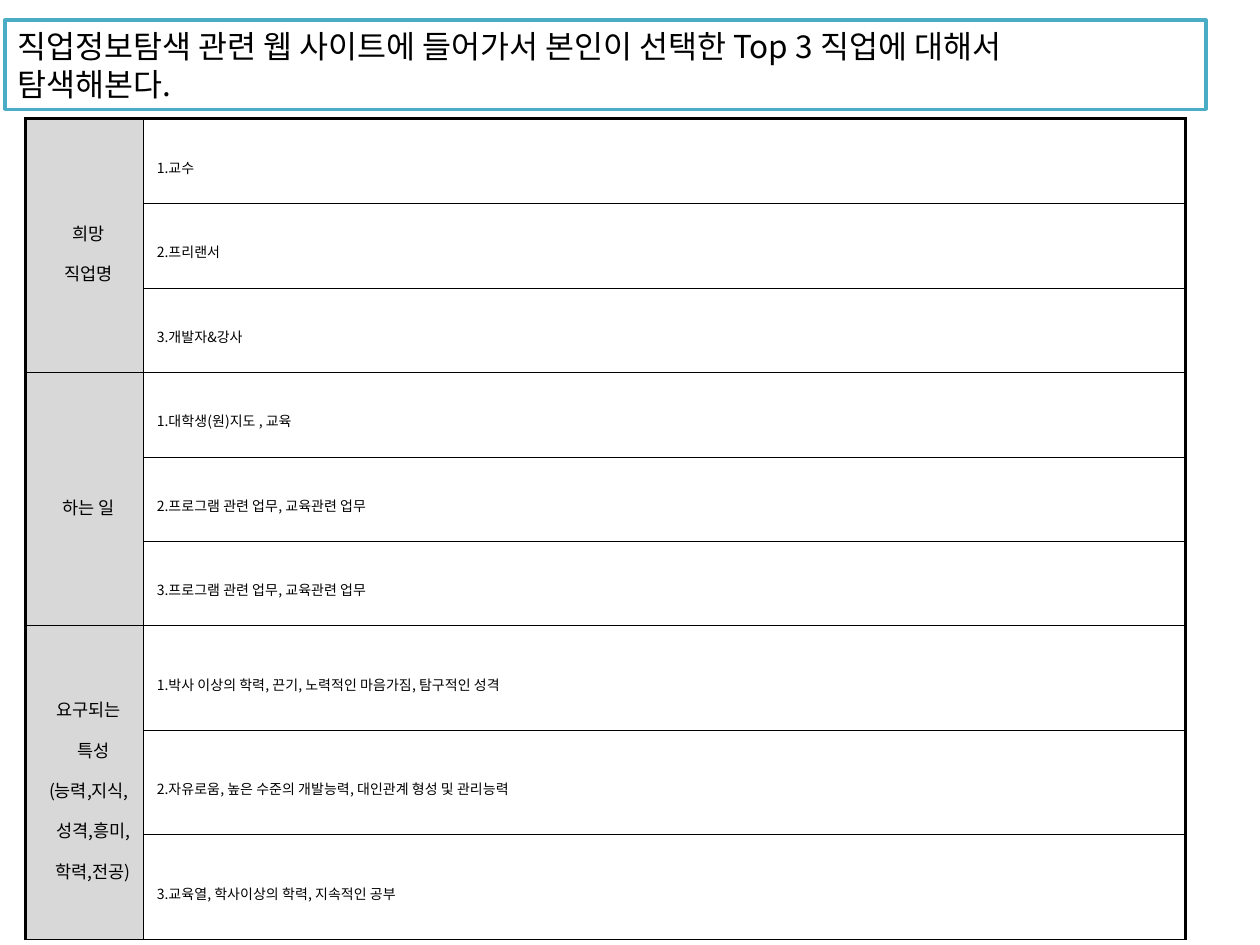
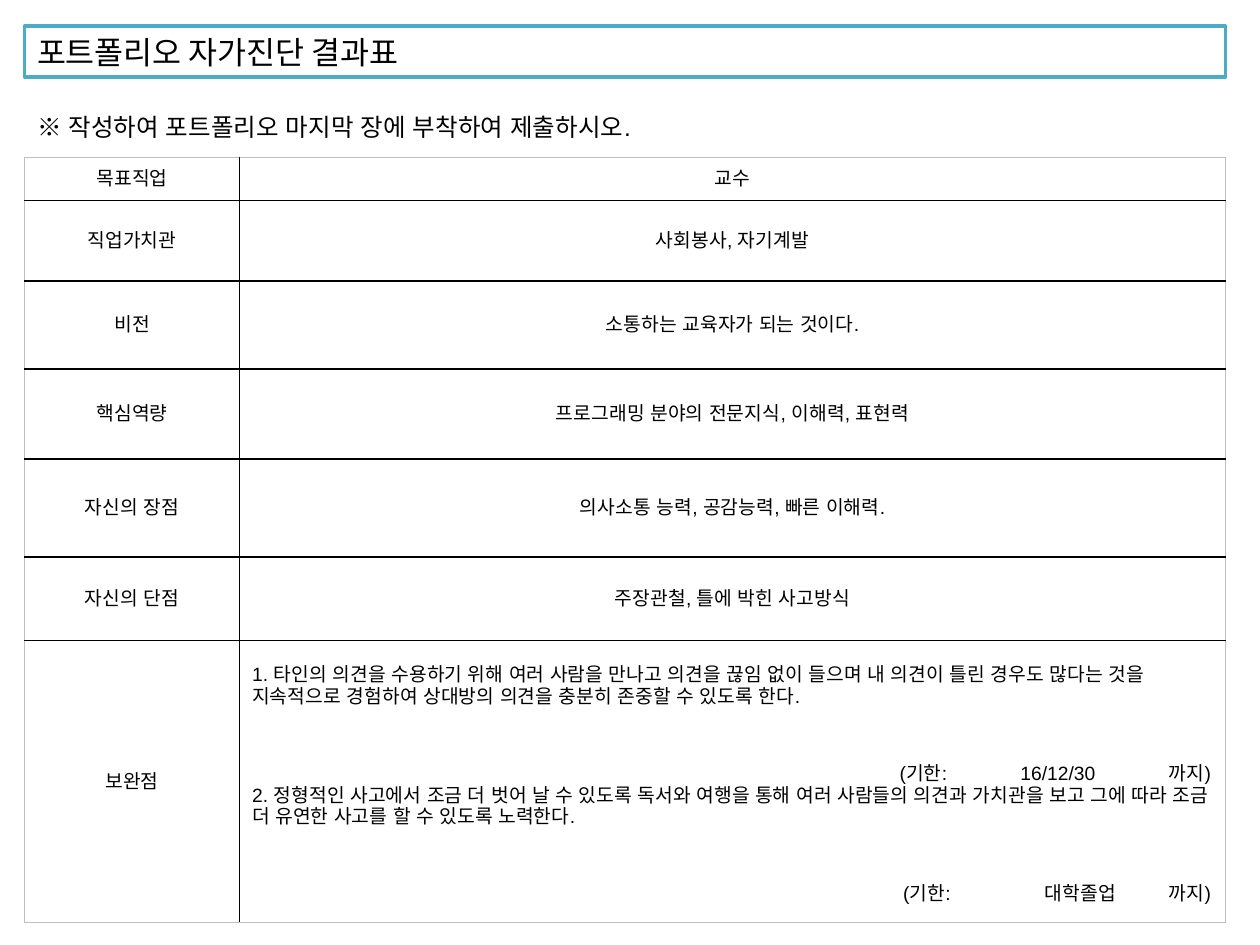
from pptx import Presentation
from pptx.dml.color import RGBColor
from pptx.enum.shapes import MSO_SHAPE
from pptx.enum.text import MSO_ANCHOR, PP_ALIGN
from pptx.oxml import parse_xml
from pptx.oxml.ns import nsdecls
from pptx.util import Pt

RECT = MSO_SHAPE.RECTANGLE
TOP, MIDDLE = MSO_ANCHOR.TOP, MSO_ANCHOR.MIDDLE
LEFT, CENTER, JUSTIFY = PP_ALIGN.LEFT, PP_ALIGN.CENTER, PP_ALIGN.JUSTIFY

# Shared look
BLACK, WHITE, TEAL = "000000", "FFFFFF", "4BACC6"
SHADE, PALE = "D8D8D8", "BFBFBF"
NOTO, ARIAL = "Noto Sans CJK KR", "Arial"
BAND_W = 686.2

# Slide 1: three groups of three answers
JOBS = [
    (["희망", "직업명"], 48.3,
     ["1.교수", "2.프리랜서", "3.개발자&강사"]),
    (["하는 일"], 48.3,
     ["1.대학생(원)지도 , 교육", "2.프로그램 관련 업무, 교육관련 업무",
      "3.프로그램 관련 업무, 교육관련 업무"]),
    (["요구되는 특성", "(능력,지식,성격,흥미,학력,전공)"], 59.7,
     ["1.박사 이상의 학력, 끈기, 노력적인 마음가짐, 탐구적인 성격",
      "2.자유로움, 높은 수준의 개발능력, 대인관계 형성 및 관리능력",
      "3.교육열, 학사이상의 학력, 지속적인 공부"]),
]

# Slide 2: label, answer, row height
CHECKS = [
    ("목표직업", "교수", 24.6),
    ("직업가치관", "사회봉사, 자기계발", 46),
    ("비전", "소통하는 교육자가 되는 것이다.", 50.3),
    ("핵심역량", "프로그래밍 분야의 전문지식, 이해력, 표현력", 51.7),
    ("자신의 장점", "의사소통 능력, 공감능력, 빠른 이해력.", 56),
    ("자신의 단점", "주장관철, 틀에 박힌 사고방식", 47.7),
]

# Plan, deadline, tab stops of the deadline line
PLANS = [
    ("1. 타인의 의견을 수용하기 위해 여러 사람을 만나고 의견을 끊임 없이 들으며 "
     "내 의견이 틀린 경우도 많다는 것을 지속적으로 경험하여 상대방의 의견을 "
     "충분히 존중할 수 있도록 한다.", "16/12/30", (370, 439)),
    ("2. 정형적인 사고에서 조금 더 벗어 날 수 있도록 독서와 여행을 통해 여러 "
     "사람들의 의견과 가치관을 보고 그에 따라 조금 더 유연한 사고를 할 수 "
     "있도록 노력한다.", "대학졸업", (372, 453)),
]


def rgb(code):
    return RGBColor.from_string(code)


def style(para, text, size, face, tabs=(), hang=None, **form):
    """Fill one paragraph; tabs are (position, kind) pairs."""
    props = para._p.get_or_add_pPr()
    if hang:
        props.set("marL", str(Pt(hang[0])))
        props.set("indent", str(Pt(hang[1])))
    if tabs:
        stops = "".join(f'<a:tab pos="{Pt(pos)}" algn="{kind}"/>'
                        for pos, kind in tabs)
        props.append(parse_xml(
            f'<a:tabLst {nsdecls("a")}>{stops}</a:tabLst>'))
    for name, value in form.items():
        setattr(para, name, value)
    run = para.add_run()
    run.text = text
    for name, value in {"size": Pt(size), "name": face, "bold": False}.items():
        setattr(run.font, name, value)
    run.font.color.rgb = rgb(BLACK)
    run._r.get_or_add_rPr().append(
        parse_xml(f'<a:ea {nsdecls("a")} typeface="{face}"/>'))


def write(frame, lines, size, face, **form):
    for i, line in enumerate(lines):
        para = frame.paragraphs[0] if i == 0 else frame.add_paragraph()
        style(para, line, size, face, **form)


def add_band(slide, x, y, high, lines):
    """Teal outlined title band."""
    band = slide.shapes.add_shape(RECT, Pt(x), Pt(y), Pt(BAND_W), Pt(high))
    band.shadow.inherit = False
    band.fill.solid()
    band.fill.fore_color.rgb = rgb(WHITE)
    band.line.color.rgb = rgb(TEAL)
    band.line.width = Pt(2)
    band.text_frame.word_wrap = True
    band.text_frame.vertical_anchor = MIDDLE
    write(band.text_frame, lines, 18, NOTO,
          alignment=LEFT, line_spacing=Pt(21.8))


def add_note(slide, x, y, high, text):
    box = slide.shapes.add_textbox(Pt(x), Pt(y), Pt(BAND_W), Pt(high))
    box.text_frame.word_wrap = True
    box.text_frame.vertical_anchor = TOP
    write(box.text_frame, [text], 14, ARIAL)


def add_grid(slide, x, y, cols, rows):
    """Plain table without the banded style."""
    table = slide.shapes.add_table(len(rows), len(cols), Pt(x), Pt(y),
                                   Pt(sum(cols)), Pt(sum(rows))).table
    table.first_row = table.horz_banding = False
    for col, wide in zip(table.columns, cols):
        col.width = Pt(wide)
    for row, high in zip(table.rows, rows):
        row.height = Pt(high)
    return table


def dress(cell, fill, edges, margins=None):
    """Edges map L, R, T, B to (colour, width)."""
    props = cell._tc.get_or_add_tcPr()
    for side in "LRTB":
        color, wide = edges[side]
        props.append(parse_xml(
            f'<a:ln{side} {nsdecls("a")} w="{Pt(wide)}"><a:solidFill>'
            f'<a:srgbClr val="{color}"/></a:solidFill></a:ln{side}>'))
    cell.fill.solid()
    cell.fill.fore_color.rgb = rgb(fill)
    cell.vertical_anchor = MIDDLE
    for name, value in (margins or {}).items():
        setattr(cell, name, Pt(value))


def add_jobs(slide):
    highs = [high for _, high, items in JOBS for _ in items]
    table = add_grid(slide, 14.8, 67.9, [67, 595.4], highs)
    thin, thick = (BLACK, 0.28), (BLACK, 2)
    pads = {"margin_left": 2.8, "margin_right": 2.8,
            "margin_top": 0.8, "margin_bottom": 0.8}
    for row in range(len(highs)):
        top = thick if row == 0 else thin
        dress(table.cell(row, 0), SHADE,
              {"L": thick, "R": thin, "T": top, "B": thin}, pads)
        dress(table.cell(row, 1), WHITE,
              {"L": thin, "R": thick, "T": top, "B": thin}, pads)
    form = {"hang": (10, -5), "line_spacing": 1.6}
    row = 0
    for head, _, items in JOBS:
        lead = table.cell(row, 0)
        lead.merge(table.cell(row + len(items) - 1, 0))
        write(lead.text_frame, head, 10, NOTO, alignment=CENTER, **form)
        for item in items:
            write(table.cell(row, 1).text_frame, [item], 8, NOTO,
                  alignment=JUSTIFY, **form)
            row += 1


def add_plans(frame):
    for i, (plan, due, stops) in enumerate(PLANS):
        para = frame.paragraphs[0] if i == 0 else frame.add_paragraph()
        style(para, plan, 11, ARIAL, alignment=LEFT)
        tabs = [(pos, "l") for pos in stops] + [(548, "r")]
        style(frame.add_paragraph(), f"\t(기한:\t{due}\t까지)", 11, ARIAL,
              tabs=tabs, alignment=LEFT, space_before=Pt(32))


def add_checks(slide):
    highs = [high for _, _, high in CHECKS] + [161]
    table = add_grid(slide, 14.1, 89.9, [122.8, 563.4], highs)
    last = len(highs) - 1
    inner, outer = (BLACK, 1), (PALE, 0.5)
    for row in range(len(highs)):
        for col in range(2):
            dress(table.cell(row, col), WHITE,
                  {"L": inner if col else outer, "R": outer if col else inner,
                   "T": inner if row else outer,
                   "B": inner if row < last else outer})
    for row, (label, text, _) in enumerate(CHECKS):
        for col, words in enumerate((label, text)):
            write(table.cell(row, col).text_frame, [words], 11, ARIAL,
                  alignment=CENTER)
    write(table.cell(last, 0).text_frame, ["보완점"], 11, ARIAL,
          alignment=CENTER)
    plans = table.cell(last, 1)
    plans.margin_bottom = Pt(0)
    add_plans(plans.text_frame)


def main():
    deck = Presentation()
    deck.slide_width, deck.slide_height = Pt(720), Pt(540)
    blank = deck.slide_layouts[6]

    # Job search
    slide = deck.slides.add_slide(blank)
    add_jobs(slide)
    add_band(slide, 2.9, 11.5, 51, [
        "직업정보탐색 관련 웹 사이트에 들어가서 본인이 선택한 Top 3 직업에 대해서",
        "탐색해본다."])

    # Self check
    slide = deck.slides.add_slide(blank)
    add_band(slide, 14.1, 15, 29, ["포트폴리오 자가진단 결과표"])
    add_note(slide, 14.1, 60.2, 41,
             "※ 작성하여 포트폴리오 마지막 장에 부착하여 제출하시오.")
    add_checks(slide)

    deck.save("out.pptx")


if __name__ == "__main__":
    main()
